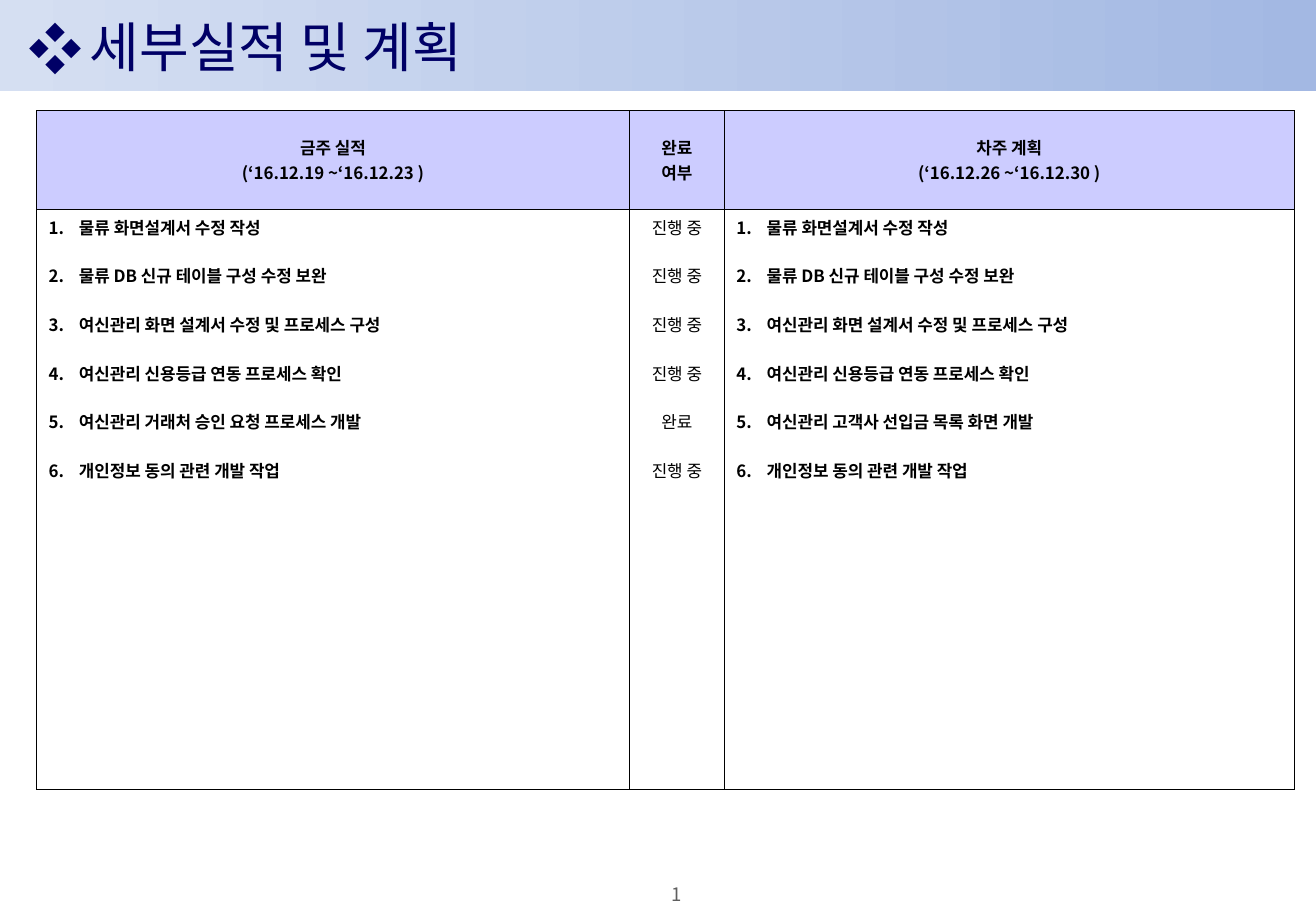
import lxml.etree
import pptx
import pptx.dml.color
import pptx.enum.shapes
import pptx.enum.text
import pptx.oxml.ns
import pptx.util

THEME = {
    "font": "Noto Sans CJK KR",
    "title": "000066", "text": "000000", "number": "5F5F5F",
    "band": ("D5DFF2", "A3B8E3"), "header": "CCCCFF", "border": "000000",
    "title_size": 32, "body_size": 10, "number_size": 11, "border_width": 0.5,
}
ALIGN = pptx.enum.text.PP_ALIGN
ANCHOR = pptx.enum.text.MSO_ANCHOR
RGB = pptx.dml.color.RGBColor.from_string
Inches = pptx.util.Inches


def add_xml(parent, tag, **attributes):
    element = lxml.etree.SubElement(parent, pptx.oxml.ns.qn(tag))
    for name, value in attributes.items():
        element.set(name, str(value))
    return element


def write(frame, lines, size=THEME["body_size"], color=THEME["text"], bold=False,
          align=ALIGN.LEFT, gap=0, bullet=None, indent=0):
    """Fill a text frame; bullet is a character or "auto" for numbers, gap is in points."""
    for index, line in enumerate(lines):
        para = frame.paragraphs[0] if index == 0 else frame.add_paragraph()
        para.alignment = align
        if index and gap:
            para.space_before = pptx.util.Pt(gap)
        if bullet:
            properties = para._p.get_or_add_pPr()
            properties.set("marL", str(Inches(indent)))
            properties.set("indent", str(-Inches(indent)))
            add_xml(properties, "a:buFont", typeface=THEME["font"])
            if bullet == "auto":
                add_xml(properties, "a:buAutoNum", type="arabicPeriod")
            else:
                add_xml(properties, "a:buChar", char=bullet)
        span = para.add_run()
        span.text = line
        span.font.size = pptx.util.Pt(size)
        span.font.bold = bold
        span.font.color.rgb = RGB(color)
        span.font.name = THEME["font"]
        add_xml(span._r.get_or_add_rPr(), "a:ea", typeface=THEME["font"])


deck = pptx.Presentation()
deck.slide_width, deck.slide_height = Inches(10.83), Inches(7.5)
page = deck.slides.add_slide(deck.slide_layouts[6])
band_height = deck.slide_height // 10

# Title band
band = page.shapes.add_shape(
    pptx.enum.shapes.MSO_SHAPE.RECTANGLE, 0, 0, deck.slide_width, band_height)
band.shadow.inherit = False
band.line.fill.background()
band.fill.gradient()
band.fill.gradient_angle = 0
for stop, position, color in zip(band.fill.gradient_stops, (0, 1), THEME["band"]):
    stop.position = position
    stop.color.rgb = RGB(color)

title_box = page.shapes.add_textbox(Inches(0.14), 0, Inches(7.08), band_height)
title_box.text_frame.word_wrap = True
title_box.text_frame.vertical_anchor = ANCHOR.MIDDLE
write(title_box.text_frame, ["세부실적 및 계획"], size=THEME["title_size"],
      color=THEME["title"], bullet="❖", indent=0.5)

# Results and plan table
headers = [
    ["금주 실적", "(‘16.12.19 ~‘16.12.23 )"],
    ["완료", "여부"],
    ["차주 계획", "(‘16.12.26 ~‘16.12.30 )"],
]
shared_tasks = [
    "물류 화면설계서 수정 작성",
    "물류 DB 신규 테이블 구성 수정 보완",
    "여신관리 화면 설계서 수정 및 프로세스 구성",
    "여신관리 신용등급 연동 프로세스 확인",
]
last_task = "개인정보 동의 관련 개발 작업"
contents = [
    shared_tasks + ["여신관리 거래처 승인 요청 프로세스 개발", last_task],
    ["진행 중"] * 4 + ["완료", "진행 중"],
    shared_tasks + ["여신관리 고객사 선입금 목록 화면 개발", last_task],
]
column_widths = [4.88, 0.78, 4.69]
row_heights = [0.81, 4.78]
table = page.shapes.add_table(
    len(row_heights), len(column_widths), Inches(0.3), Inches(0.91),
    Inches(sum(column_widths)), Inches(sum(row_heights))).table
table.first_row = table.horz_banding = False
for column, width in zip(table.columns, column_widths):
    column.width = Inches(width)
for row, height in zip(table.rows, row_heights):
    row.height = Inches(height)

for cell in table.iter_cells():
    cell.margin_left = cell.margin_right = Inches(0.1)
    cell.margin_top = cell.margin_bottom = Inches(0.05)
    for side in ("L", "R", "T", "B"):
        border = add_xml(cell._tc.get_or_add_tcPr(), f"a:ln{side}",
                         w=pptx.util.Pt(THEME["border_width"]))
        add_xml(add_xml(border, "a:solidFill"), "a:srgbClr", val=THEME["border"])

for index, (header, lines) in enumerate(zip(headers, contents)):
    head, body = table.cell(0, index), table.cell(1, index)
    head.fill.solid()
    head.fill.fore_color.rgb = RGB(THEME["header"])
    head.vertical_anchor = ANCHOR.MIDDLE
    write(head.text_frame, header, bold=True, align=ALIGN.CENTER)
    body.fill.background()
    if index == 1:
        write(body.text_frame, lines, align=ALIGN.CENTER, gap=14.4)
    else:
        write(body.text_frame, lines, bold=True, gap=14.4, bullet="auto", indent=0.25)

# Page number
number_box = page.shapes.add_textbox(Inches(5.1), Inches(7.27), Inches(0.94), Inches(0.18))
number_frame = number_box.text_frame
number_frame.word_wrap = True
number_frame.vertical_anchor = ANCHOR.MIDDLE
number_frame.margin_left = number_frame.margin_right = 0
number_frame.margin_top = number_frame.margin_bottom = 0
write(number_frame, ["1"], size=THEME["number_size"], color=THEME["number"],
      align=ALIGN.CENTER)

deck.save("out.pptx")
